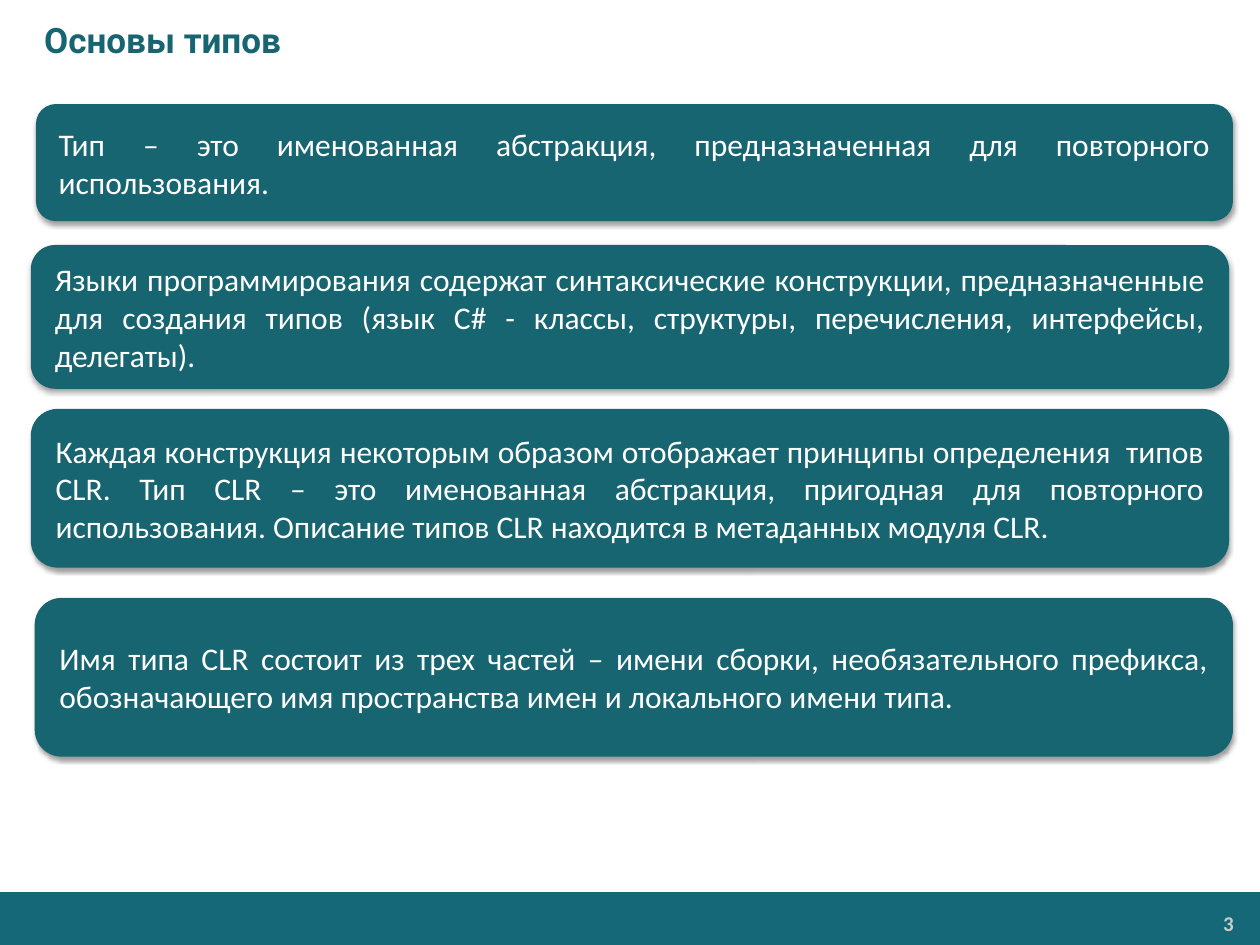
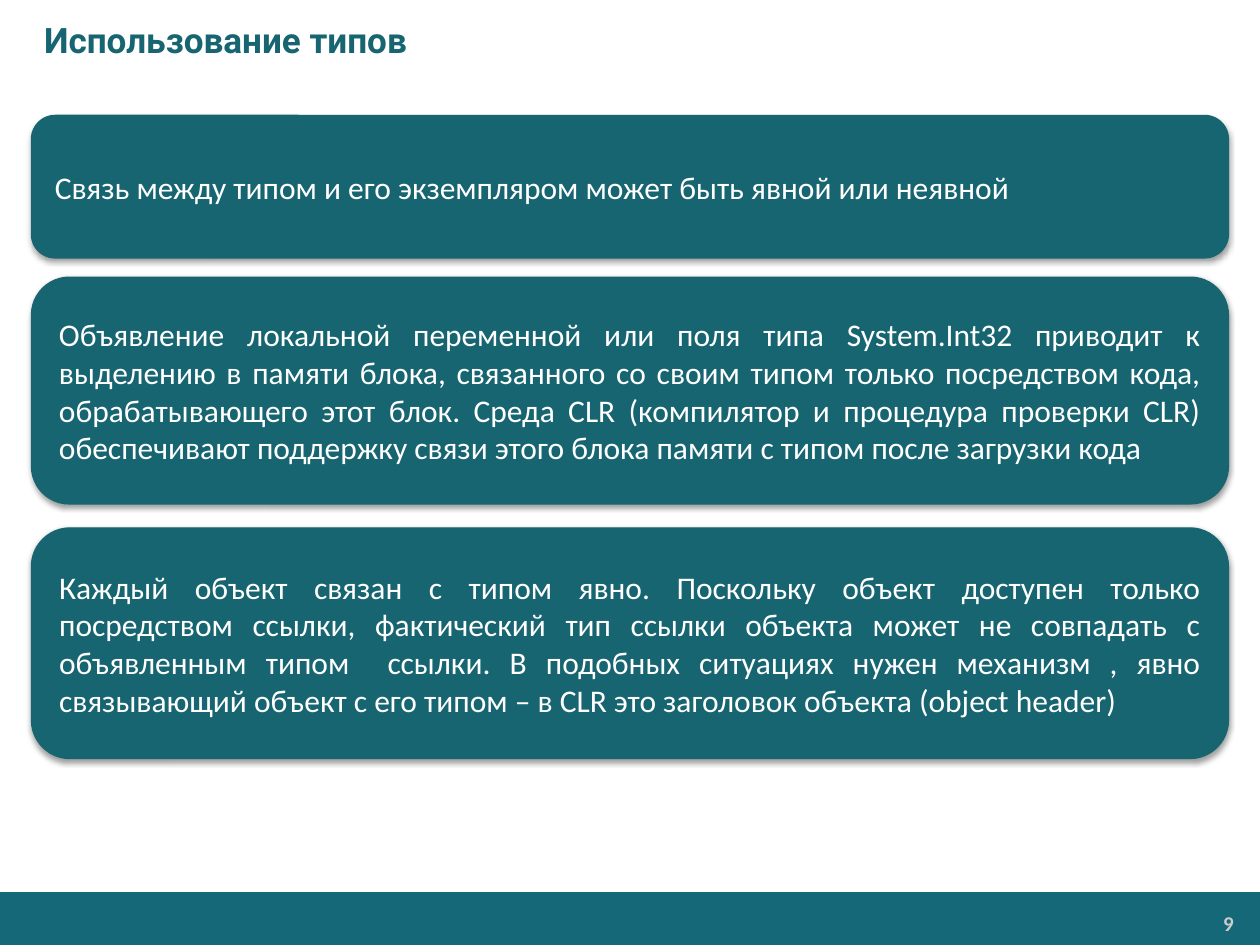
from lxml.etree import SubElement
from pptx import Presentation
from pptx.dml.color import RGBColor
from pptx.enum.shapes import MSO_SHAPE as Shape
from pptx.enum.text import MSO_ANCHOR as Anchor, MSO_AUTO_SIZE as AutoSize, PP_ALIGN as Align
from pptx.oxml.ns import qn
from pptx.util import Pt

SLIDE_WIDTH, SLIDE_HEIGHT = 720, 540
CARD_LEFT, CARD_WIDTH = 18, 684


def color(hex_value):
    return RGBColor.from_string(hex_value)


class Deck:
    """Shared style and the slide being filled."""
    TEAL, FOOTER, WHITE, GRAY = "176571", "146878", "FFFFFF", "CCCCCC"
    TITLE_FONT, BODY_FONT = "Roboto", "Calibri"

    def __init__(self):
        self.prs = Presentation()
        self.prs.slide_width, self.prs.slide_height = Pt(SLIDE_WIDTH), Pt(SLIDE_HEIGHT)
        self.slide = None

    def new_slide(self, title, number):
        self.slide = self.prs.slides.add_slide(self.prs.slide_layouts[6])
        self.footer(number)
        self.title(title)

    def set_text(self, shape, text, font, size, ink, align, margins, bold=False, anchor=Anchor.MIDDLE):
        frame = shape.text_frame
        frame.word_wrap = True
        frame.vertical_anchor = anchor
        frame.margin_left, frame.margin_top, frame.margin_right, frame.margin_bottom = map(Pt, margins)
        paragraph = frame.paragraphs[0]
        paragraph.text = text
        paragraph.alignment = align
        paragraph.font.name, paragraph.font.size, paragraph.font.bold = font, Pt(size), bold
        paragraph.font.color.rgb = color(ink)

    def block(self, kind, box, fill):
        shape = self.slide.shapes.add_shape(kind, *map(Pt, box))
        shape.shadow.inherit = False
        shape.fill.solid()
        shape.fill.fore_color.rgb = color(fill)
        return shape

    def text_box(self, box, *args, **style):
        area = self.slide.shapes.add_textbox(*map(Pt, box))
        self.set_text(area, *args, **style)
        return area

    def footer(self, number):
        band = self.block(Shape.RECTANGLE, (0, 509.8, 720.7, 31), self.FOOTER)
        band.line.fill.background()
        page = self.text_box((592.6, 517.7, 117.4, 20.2), str(number), self.BODY_FONT, 12, self.GRAY,
                             Align.RIGHT, (5, 2.9, 5, 2.9), bold=True, anchor=Anchor.TOP)
        page.text_frame.auto_size = AutoSize.SHAPE_TO_FIT_TEXT

    def title(self, text):
        # The left margin holds the 18 pt title indent
        self.text_box((0, 0, SLIDE_WIDTH, 45), text, self.TITLE_FONT, 20, self.TEAL,
                      Align.LEFT, (25.2, 3.6, 7.2, 3.6), bold=True)

    def card(self, text, top, height, left=CARD_LEFT, width=CARD_WIDTH):
        card = self.block(Shape.ROUNDED_RECTANGLE, (left, top, width, height), self.TEAL)
        card.line.color.rgb = color(self.TEAL)
        card.line.width = Pt(0.75)
        self.drop_shadow(card)
        self.set_text(card, text, self.BODY_FONT, 18, self.WHITE, Align.JUSTIFY, (9.4, 4.3, 9.4, 4.3))

    def drop_shadow(self, shape):
        effects = shape._element.spPr.find(qn("a:effectLst"))
        shadow = SubElement(effects, qn("a:outerShdw"), blurRad=str(Pt(3.1)), dist=str(Pt(1.6)),
                            dir="5400000", rotWithShape="0")
        tint = SubElement(shadow, qn("a:srgbClr"), val="000000")
        SubElement(tint, qn("a:alpha"), val="38000")


def main():
    deck = Deck()

    # Type basics
    deck.new_slide("Основы типов", 3)
    deck.card("Тип – это именованная абстракция, предназначенная для повторного использования.",
              59.8, 66.2, left=20.9, width=683.3)
    deck.card("Языки программирования содержат синтаксические конструкции, предназначенные для "
              "создания типов (язык С# - классы, структуры, перечисления, интерфейсы, делегаты).",
              140.4, 81.4)
    deck.card("Каждая конструкция некоторым образом отображает принципы определения  типов CLR. "
              "Тип CLR – это именованная абстракция, пригодная для повторного использования. "
              "Описание типов CLR находится в метаданных модуля CLR.", 234, 90)
    deck.card("Имя типа CLR состоит из трех частей – имени сборки, необязательного префикса, "
              "обозначающего имя пространства имен и локального имени типа.", 342, 90, left=20.2)

    # Using types
    deck.new_slide("Использование типов", 9)
    deck.card("Связь между типом и его экземпляром может быть явной или неявной", 66, 81.4)
    deck.card("Объявление локальной переменной или поля типа System.Int32 приводит к выделению в "
              "памяти блока, связанного со своим типом только посредством кода, обрабатывающего "
              "этот блок. Среда CLR (компилятор и процедура проверки CLR) обеспечивают поддержку "
              "связи этого блока памяти с типом после загрузки кода", 158.4, 129.6)
    deck.card("Каждый объект связан с типом явно. Поскольку объект доступен только посредством "
              "ссылки, фактический тип ссылки объекта может не совпадать с объявленным типом  "
              "ссылки. В подобных ситуациях нужен механизм , явно связывающий объект с его типом – "
              "в CLR это заголовок объекта (object header)", 301.7, 131.8)

    deck.prs.save("out.pptx")


if __name__ == "__main__":
    main()
